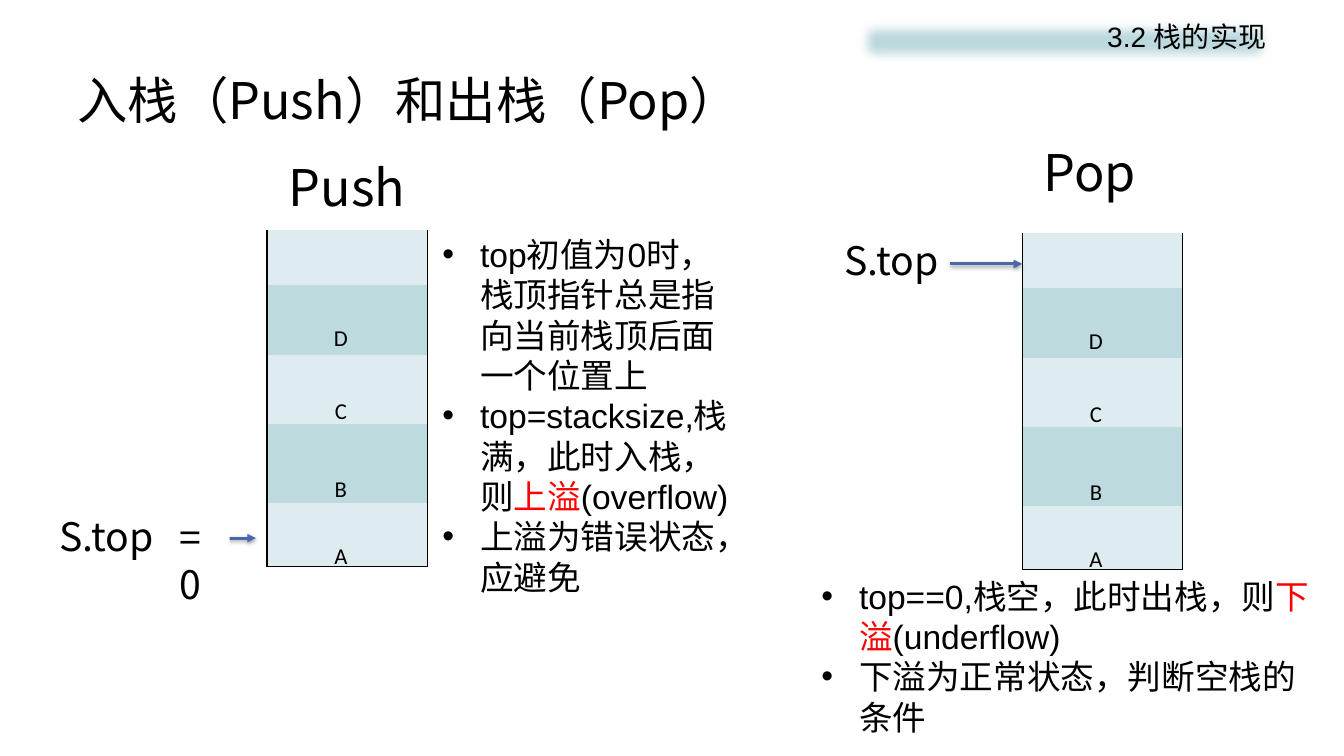
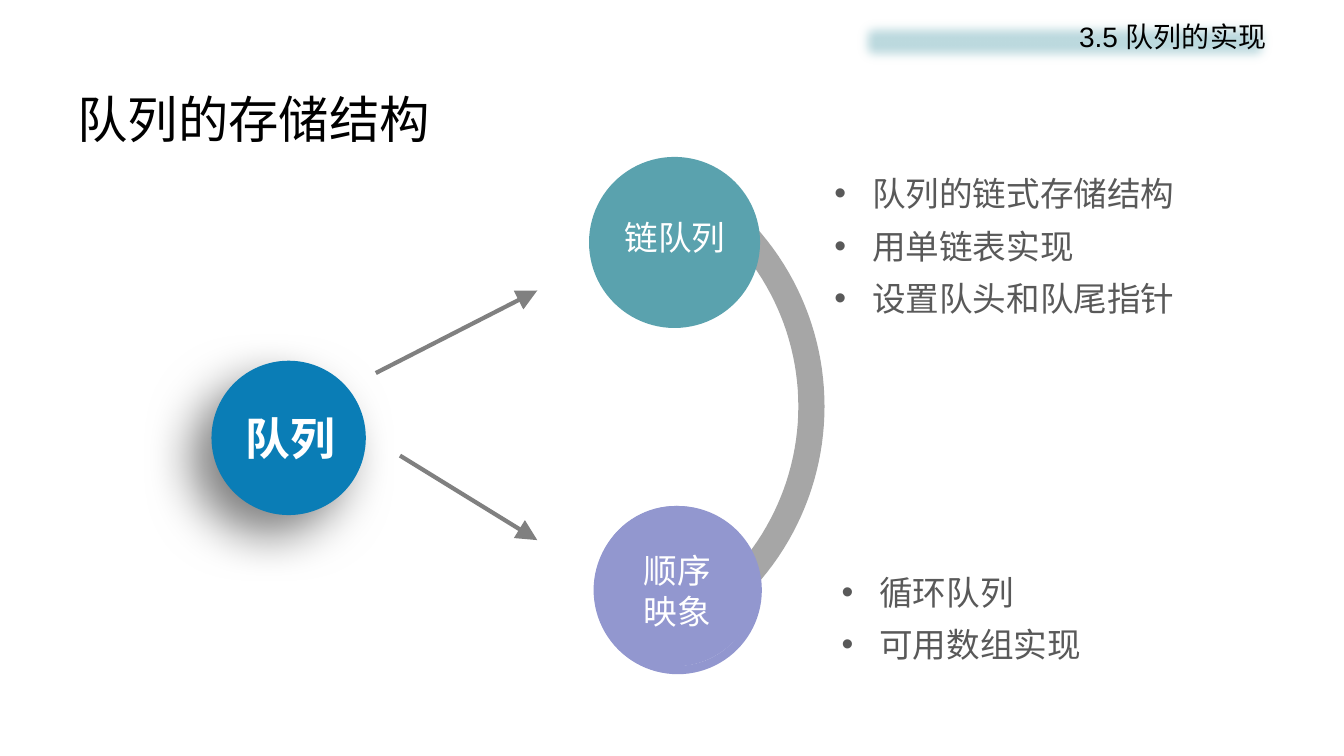
import math

import lxml.etree
import pptx
import pptx.dml.color
import pptx.enum.shapes
import pptx.enum.text
import pptx.oxml.ns
import pptx.util

Cm = pptx.util.Cm
Pt = pptx.util.Pt
RGBColor = pptx.dml.color.RGBColor
Kind = pptx.enum.shapes.MSO_SHAPE
Align = pptx.enum.text.PP_ALIGN
Anchor = pptx.enum.text.MSO_ANCHOR

BLACK = RGBColor(0x00, 0x00, 0x00)
WHITE = RGBColor(0xFF, 0xFF, 0xFF)
RED = RGBColor(0xFF, 0x00, 0x00)
PALE = RGBColor(0xDE, 0xEC, 0xEF)
AQUA = RGBColor(0xBD, 0xDA, 0xDF)
BLUE = RGBColor(0x0A, 0x7D, 0xB6)
TEAL = RGBColor(0x5A, 0xA2, 0xAE)
LILAC = RGBColor(0x92, 0x97, 0xCF)
ARROW_BLUE = RGBColor(0x4A, 0x66, 0xAC)
ARROW_GRAY = RGBColor(0x80, 0x80, 0x80)
ARC_GRAY = RGBColor(0xA6, 0xA6, 0xA6)
TEXT_GRAY = RGBColor(0x59, 0x59, 0x59)

CJK = "Noto Sans CJK SC"
TITLE = {"size": 36, "name": CJK, "anchor": Anchor.MIDDLE}
SECTION = {"size": 20, "name": "Arial", "align": Align.RIGHT}
HEADING = {"size": 36, "name": CJK, "align": Align.CENTER}
POINTER = {"size": 28, "name": CJK, "align": Align.CENTER}
VALUE = {"size": 28, "name": CJK}
ITEM = {"size": 28, "name": "Calibri", "align": Align.CENTER, "baseline": -25}
NOTE = {"size": 24, "name": "Arial", "bullet": True}
DETAIL = {"size": 24, "name": CJK, "color": TEXT_GRAY, "bullet": True,
          "spacing": 1.3, "margin": 0}
ROOT = {"size": 32, "name": CJK, "bold": True, "color": WHITE,
        "align": Align.CENTER, "margin": 0}
BRANCH = {"size": 24, "name": "Arial", "color": WHITE}

# Boxes are (left, top, width, height) in centimetres.
BAND = (21.49, 0.36, 10.67, 1.37)
STACK_WIDTH = 4.04
ROW_HEIGHTS = (1.4, 1.75, 1.75, 1.98, 1.6)
ITEM_TOPS = {"A": 7.08, "B": 5.38, "C": 3.42, "D": 1.59}
ITEM_LEFT = 1.15

STACKS = [
    {"at": (6.73, 5.79), "heading": ("Push", (6.73, 3.81, 4.04, 1.8)),
     "pointer": (0.91, 12.78, 3.56, 1.45),
     "arrow": ((4.37, 13.56), (6.45, 13.56)),
     "value": ("=0", (4.27, 12.8, 1.52, 1.45)),
     "notes_box": (10.9, 5.77, 7.95, 9.5),
     "notes": [["top初值为0时，栈顶指针总是指向当前栈顶后面一个位置上"],
               ["top=stacksize,栈满，此时入栈，则", ("上溢", RED), "(overflow)"],
               ["上溢为错误状态，应避免"]]},
    {"at": (25.76, 5.87), "heading": ("Pop", (25.45, 3.43, 4.04, 1.8)),
     "pointer": (20.45, 5.82, 4.04, 1.45),
     "arrow": ((23.95, 6.65), (25.76, 6.65)),
     "value": None,
     "notes_box": (20.45, 14.38, 12.88, 4.37),
     "notes": [["top==0,栈空，此时出栈，则", ("下溢", RED), "(underflow)"],
               ["下溢为正常状态，判断空栈的条件"]]},
]

BRANCHES = [
    {"color": TEAL, "outline": 2, "ring": (14.88, 3.99, 4.24, 4.24),
     "disc": (15.06, 4.11, 4.04, 4.04),
     "label": [["链队列"]], "label_box": (15.49, 5.33, 3.2, 1.27),
     "arrow": ((9.47, 9.4), (13.54, 7.32)),
     "details": [["队列的链式存储结构"], ["用单链表实现"], ["设置队头和队尾指针"]],
     "details_box": (21.03, 4.06, 10.44, 3.86)},
    {"color": LILAC, "outline": None, "ring": (14.96, 12.75, 4.24, 4.24),
     "disc": (15.01, 12.75, 4.04, 4.04),
     "label": [["顺序"], ["映象"]], "label_box": (15.98, 13.74, 3.51, 2.31),
     "arrow": ((10.08, 11.48), (13.54, 13.61)),
     "details": [["循环队列"], ["可用数组实现"]],
     "details_box": (21.21, 14.1, 11.46, 2.54)},
]
ARC = {"center": (14.02, 10.24), "outer": 6.76, "inner": 6.1, "degrees": 60}


def lengths(values):
    return [Cm(value) for value in values]


def add_element(parent, tag, **attributes):
    element = lxml.etree.SubElement(parent, pptx.oxml.ns.qn(tag))
    for name, value in attributes.items():
        element.set(name, str(value))
    return element


def effect_list(shape):
    """Return the shape's effect list, empty at first, so nothing is inherited."""
    properties = shape._element.spPr
    found = properties.find(pptx.oxml.ns.qn("a:effectLst"))
    return add_element(properties, "a:effectLst") if found is None else found


def add_shadow(shape, opacity, blur, distance, angle):
    shadow = add_element(effect_list(shape), "a:outerShdw", blurRad=Pt(blur),
                         dist=Pt(distance), dir=angle * 60000, rotWithShape=0)
    color = add_element(shadow, "a:srgbClr", val=BLACK)
    add_element(color, "a:alpha", val=opacity * 1000)


def paint(shape, fill, outline=None):
    shape.fill.solid()
    shape.fill.fore_color.rgb = fill
    if outline:
        shape.line.color.rgb = fill
        shape.line.width = Pt(outline)
    else:
        shape.line.fill.background()
    shape.shadow.inherit = False


def add_shape(slide, kind, box, fill, outline=None):
    shape = slide.shapes.add_shape(kind, *lengths(box))
    paint(shape, fill, outline)
    return shape


def add_run(paragraph, text, style, color):
    run = paragraph.add_run()
    run.text = text
    values = {"name": style["name"], "size": Pt(style["size"]),
              "bold": style.get("bold", False)}
    for name, value in values.items():
        setattr(run.font, name, value)
    run.font.color.rgb = color
    properties = run._r.get_or_add_rPr()
    add_element(properties, "a:ea", typeface=CJK)
    if "baseline" in style:
        properties.set("baseline", str(style["baseline"] * 1000))


def write(shape, paragraphs, style):
    """Fill a shape; each paragraph lists its runs as text or (text, colour)."""
    frame = shape.text_frame
    values = {"word_wrap": True, "vertical_anchor": style.get("anchor", Anchor.TOP)}
    if "margin" in style:
        for side in ("left", "right", "top", "bottom"):
            values["margin_" + side] = Cm(style["margin"])
    for name, value in values.items():
        setattr(frame, name, value)
    for index, runs in enumerate(paragraphs):
        paragraph = frame.add_paragraph() if index else frame.paragraphs[0]
        if style.get("bullet"):
            properties = paragraph._p.get_or_add_pPr()
            properties.set("marL", str(Cm(0.95)))
            properties.set("indent", str(-Cm(0.95)))
            add_element(properties, "a:buFont", typeface="Arial")
            add_element(properties, "a:buChar", char="•")
        paragraph.alignment = style.get("align", Align.LEFT)
        paragraph.line_spacing = style.get("spacing", 1.0)
        for run in runs:
            text, color = run if isinstance(run, tuple) else (
                run, style.get("color", BLACK))
            add_run(paragraph, text, style, color)


def add_text(slide, box, paragraphs, style):
    write(slide.shapes.add_textbox(*lengths(box)), paragraphs, style)


def add_arrow(slide, ends, color, width, head):
    start, end = ends
    arrow = slide.shapes.add_connector(
        pptx.enum.shapes.MSO_CONNECTOR.STRAIGHT, *lengths(start + end))
    arrow.line.color.rgb = color
    arrow.line.width = Pt(width)
    add_element(arrow.line._get_or_add_ln(), "a:tailEnd",
                type="triangle", w=head, len=head)
    effect_list(arrow)
    return arrow


def add_slide(presentation, title, title_top, section):
    slide = presentation.slides.add_slide(presentation.slide_layouts[6])
    add_text(slide, (1.7, title_top, 30.48, 1.91), [[title]], TITLE)
    band = add_shape(slide, Kind.RECTANGLE, BAND, AQUA)
    add_element(effect_list(band), "a:softEdge", rad=Pt(9))
    write(band, [[section]], SECTION)
    return slide


def set_borders(cell, sides):
    properties = cell._tc.get_or_add_tcPr()
    for side in "LRTB":
        line = add_element(properties, "a:ln" + side, w=Pt(1))
        if side in sides:
            fill = add_element(line, "a:solidFill")
            add_element(fill, "a:srgbClr", val=BLACK)
        else:
            add_element(line, "a:noFill")


def add_stack_table(slide, left, top):
    table = slide.shapes.add_table(
        len(ROW_HEIGHTS), 1,
        *lengths((left, top, STACK_WIDTH, sum(ROW_HEIGHTS)))).table
    table.first_row = table.horz_banding = False
    for index, height in enumerate(ROW_HEIGHTS):
        table.rows[index].height = Cm(height)
        cell = table.cell(index, 0)
        set_borders(cell, "LRB" if index == len(ROW_HEIGHTS) - 1 else "LR")
        cell.fill.solid()
        cell.fill.fore_color.rgb = AQUA if index % 2 else PALE


def add_stack(slide, stack):
    left, top = stack["at"]
    add_stack_table(slide, left, top)
    add_text(slide, stack["pointer"], [["S.top"]], POINTER)
    add_shadow(add_arrow(slide, stack["arrow"], ARROW_BLUE, 2, "med"),
               38, 3.1, 1.6, 90)
    heading, heading_box = stack["heading"]
    add_text(slide, heading_box, [[heading]], HEADING)
    if stack["value"]:
        value, value_box = stack["value"]
        write(add_shape(slide, Kind.RECTANGLE, value_box, WHITE), [[value]],
              {**VALUE, "anchor": Anchor.TOP})
    for item, offset in ITEM_TOPS.items():
        add_text(slide, (left + ITEM_LEFT, top + offset, 1.42, 1.07),
                 [[item]], ITEM)
    add_text(slide, stack["notes_box"], stack["notes"], NOTE)


def add_arc(slide):
    center_x, center_y = ARC["center"]
    limit = ARC["degrees"]
    sweep = range(-limit, limit + 1, 2)
    points = [(Cm(center_x + radius * math.cos(math.radians(angle))),
               Cm(center_y + radius * math.sin(math.radians(angle))))
              for radius, angles in ((ARC["outer"], sweep),
                                     (ARC["inner"], reversed(sweep)))
              for angle in angles]
    builder = slide.shapes.build_freeform(*points[0])
    builder.add_line_segments(points[1:], close=True)
    paint(builder.convert_to_shape(), ARC_GRAY)


def add_branch(slide, branch):
    add_arrow(slide, branch["arrow"], ARROW_GRAY, 3, "lg")
    ring = add_shape(slide, Kind.DONUT, branch["ring"],
                     branch["color"], branch["outline"])
    ring.adjustments[0] = 0.05
    add_shape(slide, Kind.OVAL, branch["disc"], branch["color"], branch["outline"])
    add_text(slide, branch["label_box"], branch["label"], BRANCH)
    add_text(slide, branch["details_box"], branch["details"], DETAIL)


def main():
    presentation = pptx.Presentation()
    presentation.slide_width, presentation.slide_height = Cm(33.87), Cm(19.05)

    slide = add_slide(presentation, "入栈（Push）和出栈（Pop）", 1.55, "3.2 栈的实现")
    for stack in STACKS:
        add_stack(slide, stack)

    slide = add_slide(presentation, "队列的存储结构", 2.03, "3.5 队列的实现")
    add_arc(slide)
    root = add_shape(slide, Kind.OVAL, (5.33, 9.09, 3.89, 3.89), BLUE)
    add_shadow(root, 50, 35, 20, 135)
    add_text(slide, (5.41, 10.36, 3.81, 1.37), [["队列"]], ROOT)
    for branch in BRANCHES:
        add_branch(slide, branch)

    presentation.save("out.pptx")


if __name__ == "__main__":
    main()
